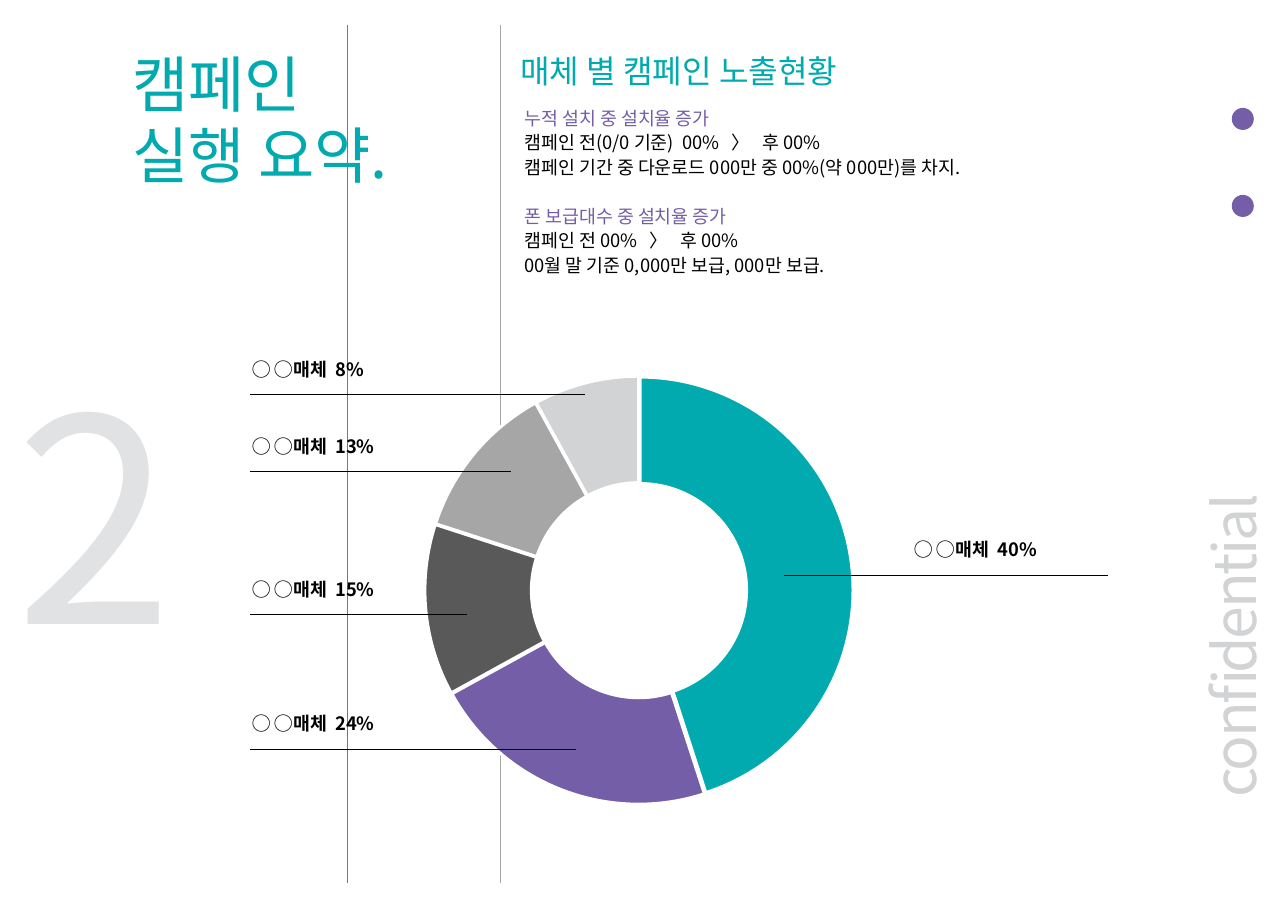
from lxml import etree
from pptx import Presentation
from pptx.chart.data import CategoryChartData
from pptx.dml.color import RGBColor
from pptx.enum.chart import XL_CHART_TYPE
from pptx.enum.shapes import MSO_CONNECTOR, MSO_SHAPE
from pptx.enum.text import MSO_ANCHOR, MSO_AUTO_SIZE
from pptx.oxml.ns import qn
from pptx.util import Inches, Pt

TEAL, PURPLE, BLACK, WHITE = "00AAAE", "745EA8", "000000", "FFFFFF"
DARK, MIDDLE, LIGHT, PALE = "595959", "A6A6A6", "D1D3D4", "E1E2E4"


def colour(code):
    return RGBColor.from_string(code)


class Page:
    font_name = "Noto Sans CJK KR"

    def __init__(self, deck):
        self.deck = deck
        self.slide = deck.slides.add_slide(deck.slide_layouts[6])
        self.shapes = self.slide.shapes

    def across(self, percent):
        return round(self.deck.slide_width * percent / 100)

    def down(self, percent):
        return round(self.deck.slide_height * percent / 100)

    def place(self, left, top, width, height):
        return self.across(left), self.down(top), self.across(width), self.down(height)

    def style(self, font, size, code, bold):
        font.name = self.font_name
        font.size = Pt(size)
        font.bold = bold
        font.color.rgb = colour(code)

    def line(self, start, end, code, width):
        (left, top), (right, bottom) = start, end
        rule = self.shapes.add_connector(
            MSO_CONNECTOR.STRAIGHT,
            self.across(left), self.down(top), self.across(right), self.down(bottom),
        )
        rule.line.color.rgb = colour(code)
        rule.line.width = Pt(width)
        etree.SubElement(rule._element.spPr, qn("a:effectLst"))

    def dot(self, area, code):
        dot = self.shapes.add_shape(MSO_SHAPE.OVAL, *self.place(*area))
        dot.shadow.inherit = False
        dot.fill.solid()
        dot.fill.fore_color.rgb = colour(code)
        dot.line.fill.background()

    def text(self, area, lines, size, code, spacing=None, bold=False, turn=0, tracking=None):
        box = self.shapes.add_textbox(*self.place(*area))
        box.rotation = turn
        frame = box.text_frame
        frame.word_wrap = True
        frame.auto_size = MSO_AUTO_SIZE.NONE
        frame.vertical_anchor = MSO_ANCHOR.TOP
        frame.margin_left = frame.margin_right = 0
        frame.margin_top = frame.margin_bottom = 0
        for number, words in enumerate(lines):
            para = frame.add_paragraph() if number else frame.paragraphs[0]
            if spacing:
                para.line_spacing = Pt(spacing)
            span = para.add_run()
            span.text = words
            for font in (para.font, span.font):
                self.style(font, size, code, bold)
            properties = span._r.get_or_add_rPr()
            etree.SubElement(properties, qn("a:ea"), typeface=self.font_name)
            if tracking:
                properties.set("spc", str(tracking))
        return frame

    def doughnut(self, area, slices, frame):
        data = CategoryChartData()
        data.categories = [str(number + 1) for number in range(len(slices))]
        data.add_series("Series 1", [value for value, _ in slices])
        chart = self.shapes.add_chart(XL_CHART_TYPE.DOUGHNUT, *self.place(*area), data).chart
        chart.has_legend = False
        chart.has_title = False
        self.style(chart.font, 18, BLACK, False)
        plot = chart.plots[0]
        plot.vary_by_categories = True
        plot.has_data_labels = False
        series = plot.series[0]
        series.format.line.color.rgb = colour(WHITE)
        explosion = etree.Element(qn("c:explosion"), val="1")
        series._element.find(qn("c:spPr")).addnext(explosion)
        for number, (_, code) in enumerate(slices):
            look = series.points[number].format
            look.fill.solid()
            look.fill.fore_color.rgb = colour(code)
            look.line.color.rgb = colour(WHITE)
            look.line.width = Pt(2)
        self.fit_plot(chart, frame)

    def fit_plot(self, chart, frame):
        plot_area = chart._chartSpace.chart.plotArea
        for layout in plot_area.findall(qn("c:layout")):
            plot_area.remove(layout)
        layout = etree.Element(qn("c:layout"))
        manual = etree.SubElement(layout, qn("c:manualLayout"))
        settings = [("layoutTarget", "inner"), ("xMode", "edge"), ("yMode", "edge")]
        for tag, value in settings + list(zip("xywh", frame)):
            etree.SubElement(manual, qn(f"c:{tag}"), val=str(value))
        plot_area.insert(0, layout)


def main():
    deck = Presentation()
    deck.slide_width, deck.slide_height = Inches(11.69), Inches(8.27)
    page = Page(deck)

    for column, code in ((26.95, TEAL), (38.84, MIDDLE)):
        page.line((column, 2.78), (column, 96.98), code, 0.25)
    for row in (11.85, 21.4):
        page.dot((95.64, row, 1.71, 2.42), PURPLE)
    page.text((1.2, 37.36, 14.5, 45.22), ["2"], 186, PALE)

    slices = [(45, TEAL), (22, PURPLE), (13, DARK), (12, MIDDLE), (8, LIGHT)]
    page.doughnut((31.14, 39.54, 36.95, 51.03), slices, (0.05, 0.03, 0.9, 0.93))

    page.text((10.27, 5.44, 26.95, 33.37), ["캠페인", "실행 요약."], 40, TEAL, 46)
    page.text((40.38, 5.8, 53.89, 7.13), ["매체 별 캠페인 노출현황"], 21, TEAL, 24)
    summary = [
        "누적 설치 중 설치율 증가",
        "캠페인 전(0/0 기준)  00%   〉   후 00%",
        "캠페인 기간 중 다운로드 000만 중 00%(약 000만)를 차지.",
        "폰 보급대수 중 설치율 증가",
        "캠페인 전 00%   〉   후 00%",
        "00월 말 기준 0,000만 보급, 000만 보급.",
    ]
    body = page.text((40.72, 11.49, 55.6, 29.99), summary, 12, BLACK, 16)
    for heading in body.paragraphs[::3]:
        for font in (heading.font, heading.runs[0].font):
            font.color.rgb = colour(PURPLE)
    body.paragraphs[3].space_before = Pt(16)

    callouts = [
        (60.91, 86.06, 63.12, 71, 40),
        (19.42, 45.42, 43.29, 19.59, 8),
        (19.42, 39.69, 51.75, 19.59, 13),
        (19.42, 36.27, 67.47, 19.59, 15),
        (19.42, 44.74, 82.22, 19.59, 24),
    ]
    for start, end, row, left, share in callouts:
        page.line((start, row), (end, row), BLACK, 0.3)
        page.text((left, row - 4.27, 14.29, 4.59), [f"◯ ◯매체  {share}%"], 12, BLACK, 16, bold=True)

    page.text((85.03, 65.42, 24.55, 9.55), ["confidential"], 38.5, LIGHT, 38.5, turn=270, tracking=-150)
    deck.save("out.pptx")


if __name__ == "__main__":
    main()
